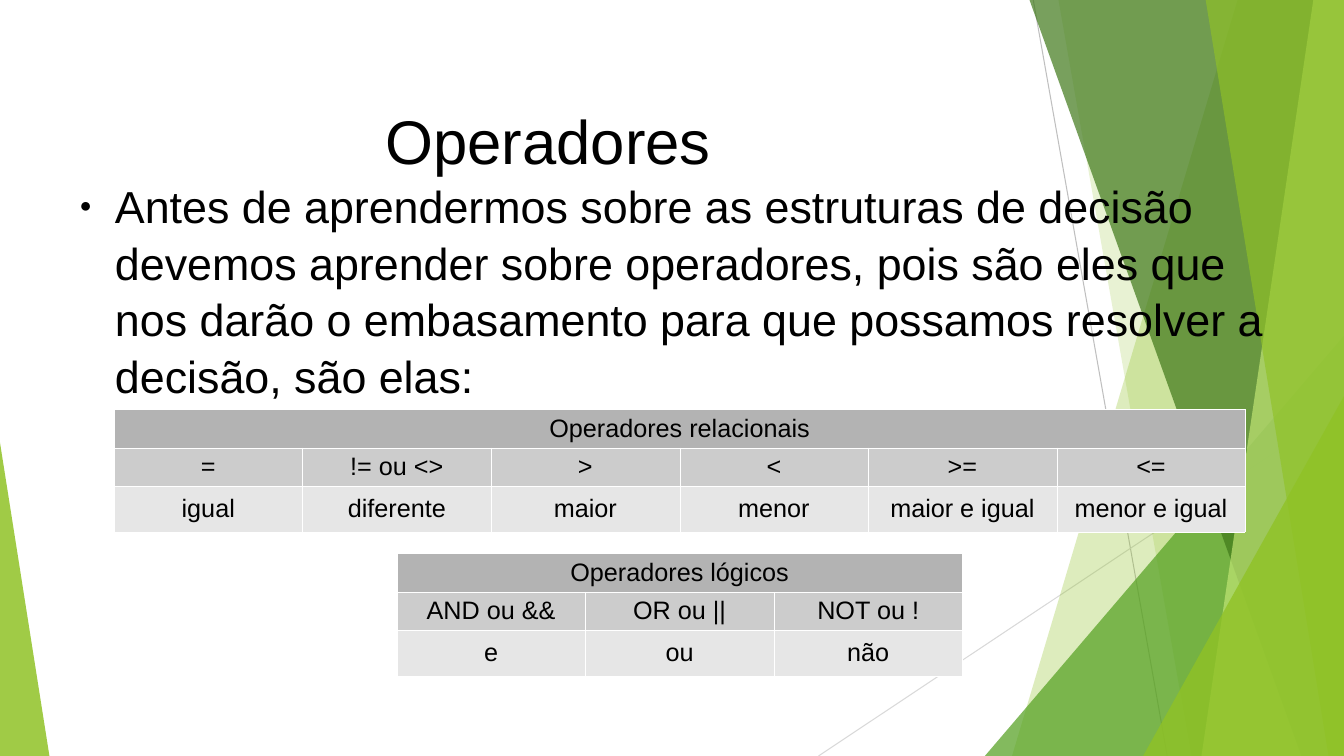
import pptx
import pptx.util
import pptx.dml.color
import pptx.enum.shapes
import pptx.enum.text
from lxml import etree
from pptx.oxml.ns import qn

W, H = pptx.util.Inches(13.333), pptx.util.Inches(7.5)
CENTER = pptx.enum.text.PP_ALIGN.CENTER
MIDDLE = pptx.enum.text.MSO_ANCHOR.MIDDLE
COLUMN, ROWS = 14.03, (5.1, 5.1, 6.0)  # table grid, percent of the slide
ROW_FILLS = ("B3B3B3", "CCCCCC", "E6E6E6")
TABLE_LEFT = 8.48
GREEN = "90C226"


def across(share):
    return int(W * share / 100)


def down(share):
    return int(H * share / 100)


def box(left, top, width, height):
    return across(left), down(top), across(width), down(height)


def rgb(code):
    return pptx.dml.color.RGBColor.from_string(code)


def add_xml(parent, tag, **attributes):
    return etree.SubElement(parent, qn(tag), attributes)


def write(tf, text, size=18, color="000000", font="Arial", align=None, spacing=None):
    p = tf.paragraphs[0]
    p.alignment, p.line_spacing = align, spacing
    r = p.add_run()
    r.text = text
    r.font.size, r.font.name = pptx.util.Pt(size), font
    r.font.color.rgb = rgb(color)
    return p


def frame(tf, anchor):
    tf.word_wrap = True
    tf.auto_size = pptx.enum.text.MSO_AUTO_SIZE.NONE
    tf.vertical_anchor = anchor
    tf.margin_left = tf.margin_right = tf.margin_top = tf.margin_bottom = 0


# Background pieces
def add_line(s, start, end, color):
    line = s.shapes.add_connector(
        pptx.enum.shapes.MSO_CONNECTOR.STRAIGHT,
        across(start[0]), down(start[1]), across(end[0]), down(end[1]))
    line.line.color.rgb = rgb(color)
    line.line.width = pptx.util.Pt(0.75)
    add_xml(line.element.spPr, "a:effectLst")


def add_facet(s, points, color, opacity):
    corners = [(across(x), down(y)) for x, y in points]
    builder = s.shapes.build_freeform(*corners[0], scale=1.0)
    builder.add_line_segments(corners[1:], close=True)
    sp = builder.convert_to_shape()
    sp.shadow.inherit = False
    sp.line.fill.background()
    sp.fill.solid()
    sp.fill.fore_color.rgb = rgb(color)
    tint = sp.element.spPr.find(qn("a:solidFill"))[0]
    add_xml(tint, "a:alpha", val=str(opacity * 1000))


def band(top_x, bottom_x):
    return [(top_x, -0.11), (100, -0.11), (100, 100), (bottom_x, 100)]


def corner(bottom_x, right_y):
    return [(bottom_x, 100), (100, right_y), (100, 100)]


# Text blocks
def add_title(s, text):
    title = s.shapes.title
    title.left, title.top, title.width, title.height = box(5.55, 8.93, 70.5, 19.2)
    frame(title.text_frame, MIDDLE)
    write(title.text_frame, text, size=44, align=CENTER)
    title.element.getparent().append(title.element)  # in front of the facets


def add_bullet_text(s, text):
    tf = s.shapes.add_textbox(*box(5.03, 23.33, 90, 58)).text_frame
    frame(tf, pptx.enum.text.MSO_ANCHOR.TOP)
    p = write(tf, text, size=32, spacing=1.05)
    p.space_before = pptx.util.Pt(14.2)
    pPr = p._p.get_or_add_pPr()
    pPr.set("marL", str(pptx.util.Inches(0.47)))
    pPr.set("indent", str(pptx.util.Inches(-0.35)))
    add_xml(add_xml(pPr, "a:buClr"), "a:srgbClr", val="000000")
    add_xml(pPr, "a:buSzPct", val="45000")
    add_xml(pPr, "a:buFont", typeface="Arial")
    add_xml(pPr, "a:buChar", char="●")


# Tables
def format_cell(cell, fill):
    tcPr = cell._tc.get_or_add_tcPr()
    for side in ("a:lnL", "a:lnR", "a:lnT", "a:lnB"):
        border = add_xml(tcPr, side, w=str(pptx.util.Pt(0.06)))
        add_xml(add_xml(border, "a:solidFill"), "a:srgbClr", val="FFFFFF")
    cell.fill.solid()
    cell.fill.fore_color.rgb = rgb(fill)
    cell.vertical_anchor = MIDDLE


def add_operator_table(s, left, top, heading, operators):
    count = len(operators)
    table = s.shapes.add_table(
        len(ROWS), count, *box(left, top, COLUMN * count, sum(ROWS))).table
    table.first_row = table.horz_banding = False
    for column in table.columns:
        column.width = across(COLUMN)
    symbols, meanings = zip(*operators)
    texts = ([heading], symbols, meanings)
    for r, (height, fill, row) in enumerate(zip(ROWS, ROW_FILLS, texts)):
        table.rows[r].height = down(height)
        for c in range(count):
            format_cell(table.cell(r, c), fill)
        for c, text in enumerate(row):
            write(table.cell(r, c).text_frame, text, align=CENTER)
    table.cell(0, 0).merge(table.cell(0, count - 1))


def main():
    prs = pptx.Presentation()
    prs.slide_width, prs.slide_height = W, H
    s = prs.slides.add_slide(prs.slide_layouts[5])

    # Green decoration
    add_line(s, (76.88, 0), (86.85, 100), "BFBFBF")
    add_line(s, (100, 53.73), (60.9, 100), "D9D9D9")
    for points, color, opacity in (
        (band(92.1, 75.3), GREEN, 30),
        (band(78.75, 88.65), GREEN, 20),
        (corner(73.28, 44.4), "54A021", 72),
        (band(76.58, 96.83), "3F7819", 70),
        (band(97.73, 89.4), "C0E474", 70),
        (band(89.7, 98.85), GREEN, 65),
        (corner(85.05, 52.4), GREEN, 80),
        ([(0, 100), (0, 58.53), (3.68, 100)], GREEN, 85),
    ):
        add_facet(s, points, color, opacity)

    # Title and introduction
    add_title(s, "Operadores")
    add_bullet_text(
        s, "Antes de aprendermos sobre as estruturas de decisão devemos "
        "aprender sobre operadores, pois são eles que nos darão o embasamento "
        "para que possamos resolver a decisão, são elas:")

    # Operator tables, the second one centred under the first
    add_operator_table(
        s, TABLE_LEFT, 54.13, "Operadores relacionais",
        [("=", "igual"), ("!= ou <>", "diferente"), (">", "maior"),
         ("<", "menor"), (">=", "maior e igual"), ("<=", "menor e igual")])
    add_operator_table(
        s, TABLE_LEFT + 1.5 * COLUMN, 73.2, "Operadores lógicos",
        [("AND ou &&", "e"), ("OR ou ||", "ou"), ("NOT ou !", "não")])

    prs.save("out.pptx")


if __name__ == "__main__":
    main()
